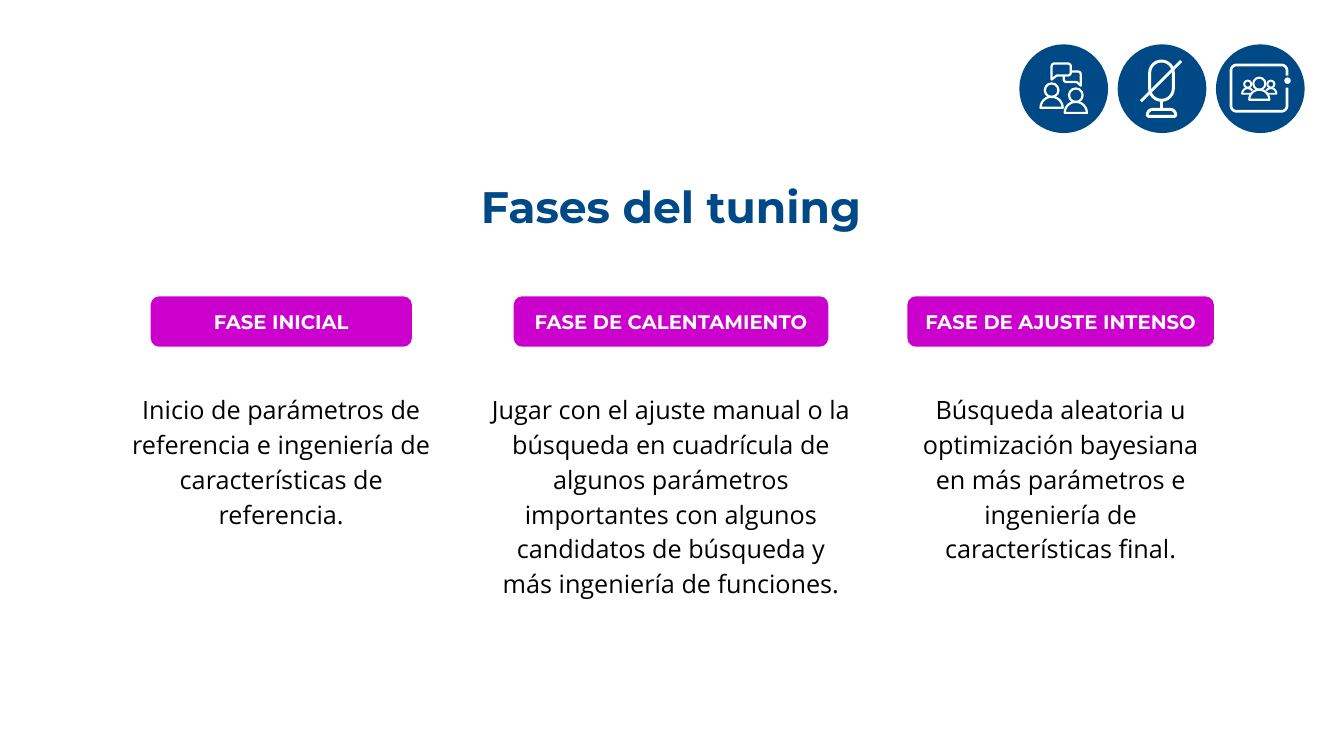
"""Build the slide on the three phases of tuning, with its icon row."""
from math import cos, radians, sin
from lxml import etree
from pptx import Presentation
from pptx import util as u
from pptx.dml.color import RGBColor
from pptx.enum import shapes, text
from pptx.oxml.ns import qn

BLUE = RGBColor(0x00, 0x49, 0x87)
PINK = RGBColor(0xCC, 0x00, 0xCC)
WHITE = RGBColor(0xFF, 0xFF, 0xFF)
BLACK = RGBColor(0x00, 0x00, 0x00)
KIND = shapes.MSO_SHAPE
CELL = u.Inches(0.01)
ROW = 44
DISC = 88
STEP = 97.5
HEAD = {"name": "Montserrat", "size": u.Pt(31.5), "bold": True}
TAG = {"name": "Montserrat", "size": u.Pt(14), "bold": True}
BODY = {"name": "Open Sans", "size": u.Pt(18), "bold": False}

deck = Presentation()
deck.slide_width, deck.slide_height = u.Inches(13.33), u.Inches(7.5)
slide = deck.slides.add_slide(deck.slide_layouts[6])
items = slide.shapes


def arc(x, y, r, start, end):
    """Return points on an arc, with angles clockwise from the right."""
    turns = [radians(start + (end - start) * i / 12) for i in range(13)]
    return [(x + r * cos(a), y + r * sin(a)) for a in turns]


def write(shape, words, look, color, pad):
    """Put one centred paragraph in a shape."""
    frame = shape.text_frame
    sides = dict.fromkeys(("left", "right", "top", "bottom"), u.Inches(pad))
    for side, gap in sides.items():
        setattr(frame, "margin_" + side, gap)
    frame.word_wrap = True
    para = frame.paragraphs[0]
    para.alignment = text.PP_ALIGN.CENTER
    run = para.add_run()
    run.text = words
    for key, value in look.items():
        setattr(run.font, key, value)
    run.font.color.rgb = color
    return frame


lefts = [1011 + STEP * i for i in range(3)]
for left in lefts:
    disc = items.add_shape(KIND.OVAL, *(int(n * CELL) for n in (left, ROW, DISC, DISC)))
    disc.shadow.inherit = False
    disc.fill.solid()
    disc.fill.fore_color.rgb = BLUE
    disc.line.fill.background()

rings = [
    (0, 32, 45.5, 6.75, 6.75, 1.6), (0, 56, 50.5, 6.75, 6.75, 1.6),
    (1, 43.5, 36, 11.75, 19.5, 2.1),
    (2, 43, 39, 6, 6, 1.5), (2, 31.5, 39.5, 3.5, 3.5, 1.4),
    (2, 54.5, 39.5, 3.5, 3.5, 1.4), (2, 71, 36, 2.5, 2.5, 1),
]
for icon, x, y, wide, high, thick in rings:
    kind = KIND.OVAL if wide == high else KIND.ROUNDED_RECTANGLE
    box = (lefts[icon] + x - wide, ROW + y - high, 2 * wide, 2 * high)
    ring = items.add_shape(kind, *(int(n * CELL) for n in box))
    ring.shadow.inherit = False
    if kind == KIND.ROUNDED_RECTANGLE:
        ring.adjustments[0] = 0.5
    if thick == 1:
        ring.fill.solid()
        ring.fill.fore_color.rgb = WHITE
    else:
        ring.fill.background()
    ring.line.color.rgb = WHITE
    ring.line.width = u.Pt(thick)

talk = ([(32, 35)] + arc(35, 22, 3, 180, 270) + arc(48, 22, 3, 270, 360)
        + arc(48, 28, 3, 0, 90) + [(37, 31)])
reply = ([(51, 27)] + arc(58, 30, 3, 270, 360) + [(61, 41), (57, 37.5)]
         + arc(47, 34.5, 3, 90, 180) + [(44, 31)])
base = arc(35, 70, 5.5, 180, 270) + arc(52, 70, 5.5, 270, 360) + arc(56, 70, 1.5, 0, 90) \
    + arc(31, 70, 1.5, 90, 180)
screen = ([(70.5, 31)] + arc(65, 26, 5.5, 0, -90) + arc(20.5, 26, 5.5, 270, 180)
          + arc(20.5, 61, 5.5, 180, 90) + arc(65, 61, 5.5, 90, 0) + [(70.5, 43)])
paths = [
    (0, talk, True, 1.6), (0, reply, False, 1.6),
    (0, arc(32, 63, 11, 180, 360), True, 1.6),
    (0, arc(56, 68, 11, 180, 360), True, 1.6),
    (1, base, True, 2.1), (2, screen, False, 1.9),
    (2, arc(43, 55, 10, 180, 360), True, 1.5),
    (2, [(35, 49)] + arc(31.5, 49, 5.5, 180, 325), False, 1.4),
    (2, [(51, 49)] + arc(54.5, 49, 5.5, 360, 215), False, 1.4),
]
for icon, dots, closed, thick in paths:
    spots = [(int((lefts[icon] + x) * CELL), int((ROW + y) * CELL)) for x, y in dots]
    pen = items.build_freeform(*spots[0])
    pen.add_line_segments(spots[1:], close=closed)
    form = pen.convert_to_shape()
    form.shadow.inherit = False
    form.fill.background()
    form.line.color.rgb = WHITE
    form.line.width = u.Pt(thick)

for ends in ((43.5, 55, 43.5, 64), (23, 56.5, 63, 16.5)):
    spots = [int((n + (ROW if i % 2 else lefts[1])) * CELL) for i, n in enumerate(ends)]
    bar = items.add_connector(shapes.MSO_CONNECTOR.STRAIGHT, *spots)
    bar.line.color.rgb = WHITE
    bar.line.width = u.Pt(2.1)
    etree.SubElement(bar.element.spPr, qn("a:effectLst"))

title = items.add_textbox(*(n * CELL for n in (355, 165, 621, 83)))
write(title, "Fases del tuning", HEAD, BLUE, 0.13)

phases = [
    ("FASE INICIAL", 259, 326, 155,
     "Inicio de parámetros de referencia e ingeniería de características de referencia."),
    ("FASE DE CALENTAMIENTO", 312, 380, 225,
     "Jugar con el ajuste manual o la búsqueda en cuadrícula de algunos parámetros "
     "importantes con algunos candidatos de búsqueda y más ingeniería de funciones."),
    ("FASE DE AJUSTE INTENSO", 304, 326, 190,
     "Búsqueda aleatoria u optimización bayesiana en más parámetros e ingeniería de "
     "características final."),
]
for col, (name, wide, span, high, words) in enumerate(phases):
    mid = 279 + 386.5 * col
    box = (mid - wide / 2, 294, wide, 50)
    tag = items.add_shape(KIND.ROUNDED_RECTANGLE, *(int(n * CELL) for n in box))
    tag.adjustments[0] = 0.17
    tag.shadow.inherit = False
    tag.fill.solid()
    tag.fill.fore_color.rgb = PINK
    tag.line.fill.background()
    write(tag, name, TAG, WHITE, 0.1).vertical_anchor = text.MSO_ANCHOR.MIDDLE

    box = (mid - span / 2, 377, span, high)
    note = items.add_textbox(*(int(n * CELL) for n in box))
    frame = write(note, words, BODY, BLACK, 0.1)
    frame.auto_size = text.MSO_AUTO_SIZE.SHAPE_TO_FIT_TEXT
    for key, value in {"line_spacing": 1.15, "space_after": u.Pt(16)}.items():
        setattr(frame.paragraphs[0], key, value)

deck.save("out.pptx")
